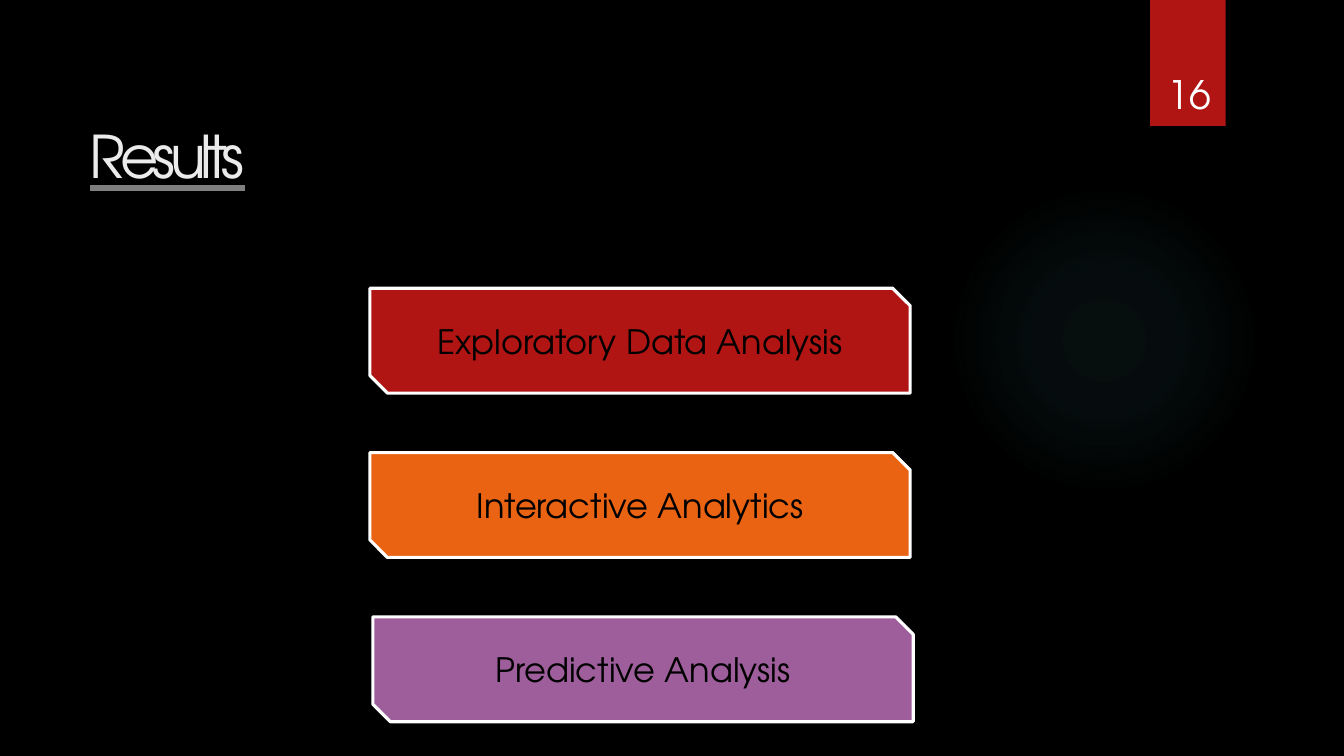
"""Build the Results slide: a title, a page ribbon and three analysis cards."""
from dataclasses import dataclass

from lxml import etree
from pptx import Presentation, util as u
from pptx.dml import color
from pptx.enum import dml, shapes, text
from pptx.oxml import ns, parse_xml


@dataclass(frozen=True)
class Theme:
    font: str = "TeX Gyre Adventor"
    background: str = "000000"
    title: str = "EBEBEB"
    underline: str = "7F7F7F"
    light: str = "FFFFFF"
    dark: str = "000000"
    red: str = "B01513"
    orange: str = "EA6312"
    purple: str = "9E5E9B"
    glow: str = "50B9C1"
    title_size: int = 42
    number_size: int = 28
    card_size: int = 24
    outline: float = 2.25


THEME = Theme()
PX = 9144


def write(frame, wording, size, hue, anchor, align):
    frame.text = wording
    frame.word_wrap = True
    frame.auto_size = text.MSO_AUTO_SIZE.NONE
    frame.vertical_anchor = anchor
    frame.margin_left = frame.margin_right = frame.margin_top = frame.margin_bottom = 0
    paragraph = frame.paragraphs[0]
    paragraph.alignment = align
    font = paragraph.runs[0].font
    font.name = THEME.font
    font.size = u.Pt(size)
    font.color.rgb = color.RGBColor.from_string(hue)
    return paragraph


def add_block(kind, left, top, width, height, hue):
    shape = slide.shapes.add_shape(kind, left * PX, top * PX, width * PX, height * PX)
    shape.shadow.inherit = False
    shape.fill.solid()
    shape.fill.fore_color.rgb = color.RGBColor.from_string(hue)
    shape.line.fill.background()
    return shape


presentation = Presentation()
presentation.slide_width = u.Emu(12192000)
presentation.slide_height = 750 * PX
slide = presentation.slides.add_slide(presentation.slide_layouts[5])
slide.background.fill.solid()
slide.background.fill.fore_color.rgb = color.RGBColor.from_string(THEME.background)

glow = add_block(shapes.MSO_SHAPE.OVAL, 941, 183, 308, 308, THEME.glow)
stops = "".join(
    f'<a:gs pos="{position * 1000}"><a:srgbClr val="{THEME.glow}">'
    f'<a:alpha val="{alpha * 1000}"/></a:srgbClr></a:gs>'
    for position, alpha in ((0, 7), (36, 6), (69, 0), (100, 0))
)
gradient = parse_xml(
    f'<a:gradFill {ns.nsdecls("a")}><a:gsLst>{stops}</a:gsLst><a:path path="circle">'
    '<a:fillToRect l="50000" t="50000" r="50000" b="50000"/></a:path></a:gradFill>'
)
solid = glow.element.spPr.find(ns.qn("a:solidFill"))
solid.getparent().replace(solid, gradient)

add_block(shapes.MSO_SHAPE.RECTANGLE, 1141, 0, 75, 125, THEME.red)

title = slide.shapes.title
title.left, title.top, title.width, title.height = 71 * PX, 50 * PX, 1029 * PX, 153 * PX
paragraph = write(title.text_frame, "Results", THEME.title_size, THEME.title,
                  text.MSO_ANCHOR.TOP, text.PP_ALIGN.LEFT)
title.text_frame.margin_top = 69 * PX
paragraph._p.get_or_add_pPr().set("marL", str(18 * PX))
font = paragraph.runs[0].font
font.underline = text.MSO_UNDERLINE.HEAVY_LINE
properties = paragraph.runs[0]._r.get_or_add_rPr()
properties.set("spc", "-380")
underline = etree.Element(ns.qn("a:uFill"))
underline_fill = etree.SubElement(underline, ns.qn("a:solidFill"))
etree.SubElement(underline_fill, ns.qn("a:srgbClr"), val=THEME.underline)
properties.find(ns.qn("a:latin")).addprevious(underline)

number = slide.shapes.add_textbox(1132 * PX, 32 * PX, 92 * PX, 84 * PX)
paragraph = write(number.text_frame, "16", THEME.number_size, THEME.light,
                  text.MSO_ANCHOR.BOTTOM, text.PP_ALIGN.CENTER)
paragraph.line_spacing = u.Pt(11)
paragraph._p.get_or_add_pPr().set("marL", str(4 * PX))

cards = (
    ("Exploratory Data Analysis", 367, THEME.red),
    ("Interactive Analytics", 367, THEME.orange),
    ("Predictive Analysis", 370, THEME.purple),
)
for row, (wording, left, hue) in enumerate(cards):
    card = add_block(shapes.MSO_SHAPE.SNIP_2_DIAG_RECTANGLE, left, 286 + 163 * row, 536, 104, hue)
    card.line.fill.solid()
    card.line.fill.fore_color.rgb = color.RGBColor.from_string(THEME.light)
    card.line.width = u.Pt(THEME.outline)
    card.line.dash_style = dml.MSO_LINE.SOLID
    write(card.text_frame, wording, THEME.card_size, THEME.dark,
          text.MSO_ANCHOR.MIDDLE, text.PP_ALIGN.CENTER)

presentation.save("out.pptx")
